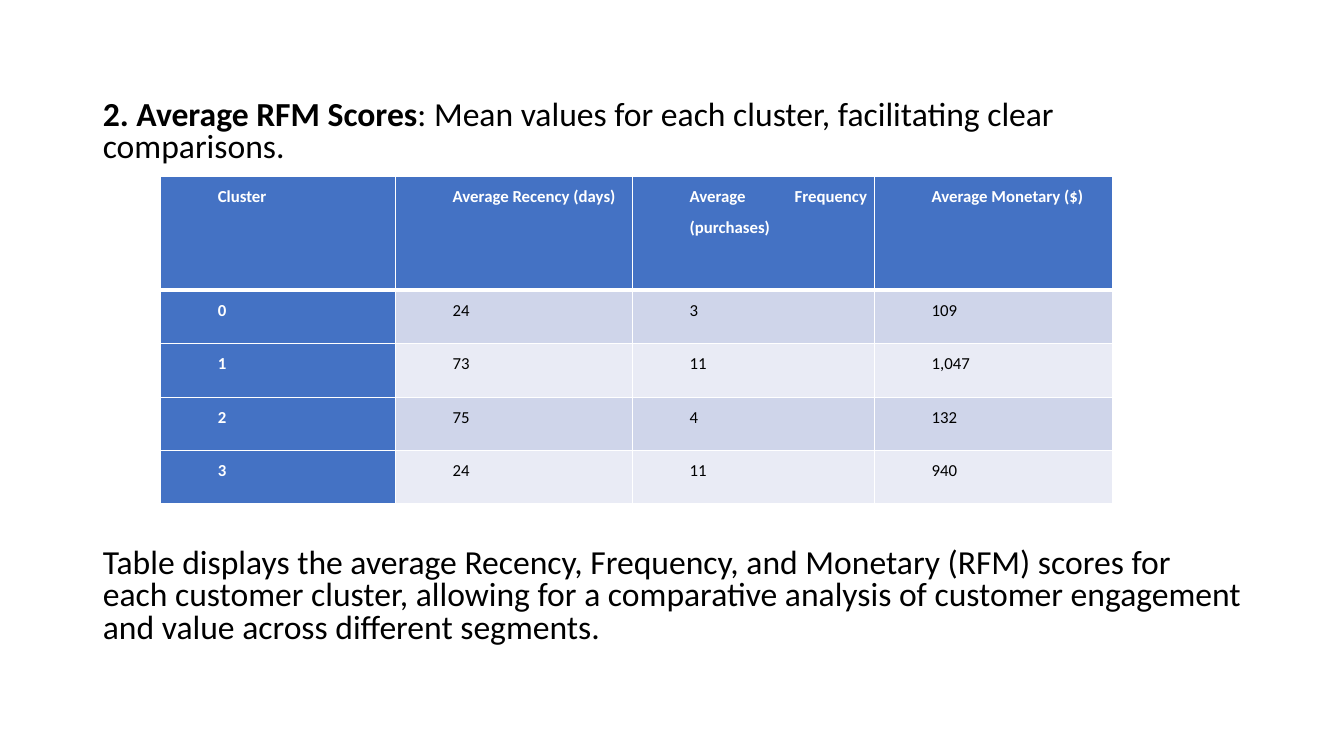
from lxml.etree import SubElement as Sub
from pptx import Presentation
from pptx.dml.color import RGBColor as Rgb
from pptx.enum.text import MSO_AUTO_SIZE as Fit, PP_ALIGN as Align
from pptx.oxml.ns import qn
from pptx.util import Inches, Pt

COLORS = {
    "black": "000000",
    "white": "FFFFFF",
    "blue": "4472C4",
    "dark": "CFD5EA",
    "light": "E9EBF5",
}
ROWS = [
    ["Cluster", "Average Recency (days)", "Average Frequency (purchases)", "Average Monetary ($)"],
    ["0", "24", "3", "109"],
    ["1", "73", "11", "1,047"],
    ["2", "75", "4", "132"],
    ["3", "24", "11", "940"],
]
WIDTHS = [2.33, 2.35, 2.4, 2.37]
HEIGHTS = [1.13] + [0.53] * 4
LEAD = [
    ("2. Average RFM Scores", True),
    (": Mean values for each cluster, facilitating clear comparisons.", False),
]
NOTE = (
    "Table displays the average Recency, Frequency, and Monetary (RFM) scores for "
    "each customer cluster, allowing for a comparative analysis of customer "
    "engagement and value across different segments."
)


def color(name):
    return Rgb.from_string(COLORS[name])


def write(para, parts, size=24, ink="black", line=0.8, before=0, after=0,
          align=Align.LEFT, indent=0):
    """Fill a paragraph with (text, bold) parts."""
    para.alignment = align
    para.line_spacing = line
    para.space_before, para.space_after = Pt(before), Pt(after)
    props = para._p.get_or_add_pPr()
    props.set("marL", str(Inches(indent)))
    props.set("indent", "0")
    Sub(props, qn("a:buNone"))
    for text, bold in parts:
        run = para.add_run()
        run.text = text
        font = run.font
        font.name, font.size, font.bold = "Calibri", Pt(size), bold
        font.color.rgb = color(ink)


def add_body(slide):
    body = slide.placeholders[1]
    body.left, body.top = Inches(0.92), Inches(0.95)
    body.width, body.height = Inches(11.5), Inches(5.8)
    frame = body.text_frame
    frame.word_wrap = True
    frame.auto_size = Fit.NONE
    write(frame.paragraphs[0], LEAD, before=10)
    # Room for the table comes from the space above the note
    write(frame.add_paragraph(), [(NOTE, False)], before=274)


def set_edges(cell, top, bottom):
    props = cell._tc.get_or_add_tcPr()
    for side, width in zip("LRTB", (1, 1, top, bottom)):
        edge = Sub(props, qn(f"a:ln{side}"), w=str(Pt(width)))
        fill = Sub(edge, qn("a:solidFill"))
        Sub(fill, qn("a:srgbClr"), val=COLORS["white"])


def fill_cell(cell, text, row, col):
    head = row == 0 or col == 0
    set_edges(cell, 3 if row == 1 else 1, 3 if row == 0 else 1)
    cell.fill.solid()
    cell.fill.fore_color.rgb = color("blue" if head else "dark" if row % 2 else "light")
    cell.margin_left = cell.margin_right = Inches(0.07)
    cell.margin_top = cell.margin_bottom = 0
    write(cell.text_frame.paragraphs[0], [(text, head)], size=12,
          ink="white" if head else "black", line=1.5, after=8,
          align=Align.JUSTIFY, indent=0.5)


def add_grid(slide):
    grid = slide.shapes.add_table(
        len(ROWS), len(WIDTHS), Inches(1.59), Inches(1.75),
        Inches(sum(WIDTHS)), Inches(sum(HEIGHTS))).table
    for col, width in zip(grid.columns, WIDTHS):
        col.width = Inches(width)
    for row, height in zip(grid.rows, HEIGHTS):
        row.height = Inches(height)
    for r, texts in enumerate(ROWS):
        for c, text in enumerate(texts):
            fill_cell(grid.cell(r, c), text, r, c)


def main():
    deck = Presentation()
    deck.slide_width, deck.slide_height = Inches(13.33), Inches(7.5)
    slide = deck.slides.add_slide(deck.slide_layouts[1])
    # The slide has no title
    title = slide.shapes.title._element
    title.getparent().remove(title)
    add_body(slide)
    add_grid(slide)
    deck.save("out.pptx")


if __name__ == "__main__":
    main()
